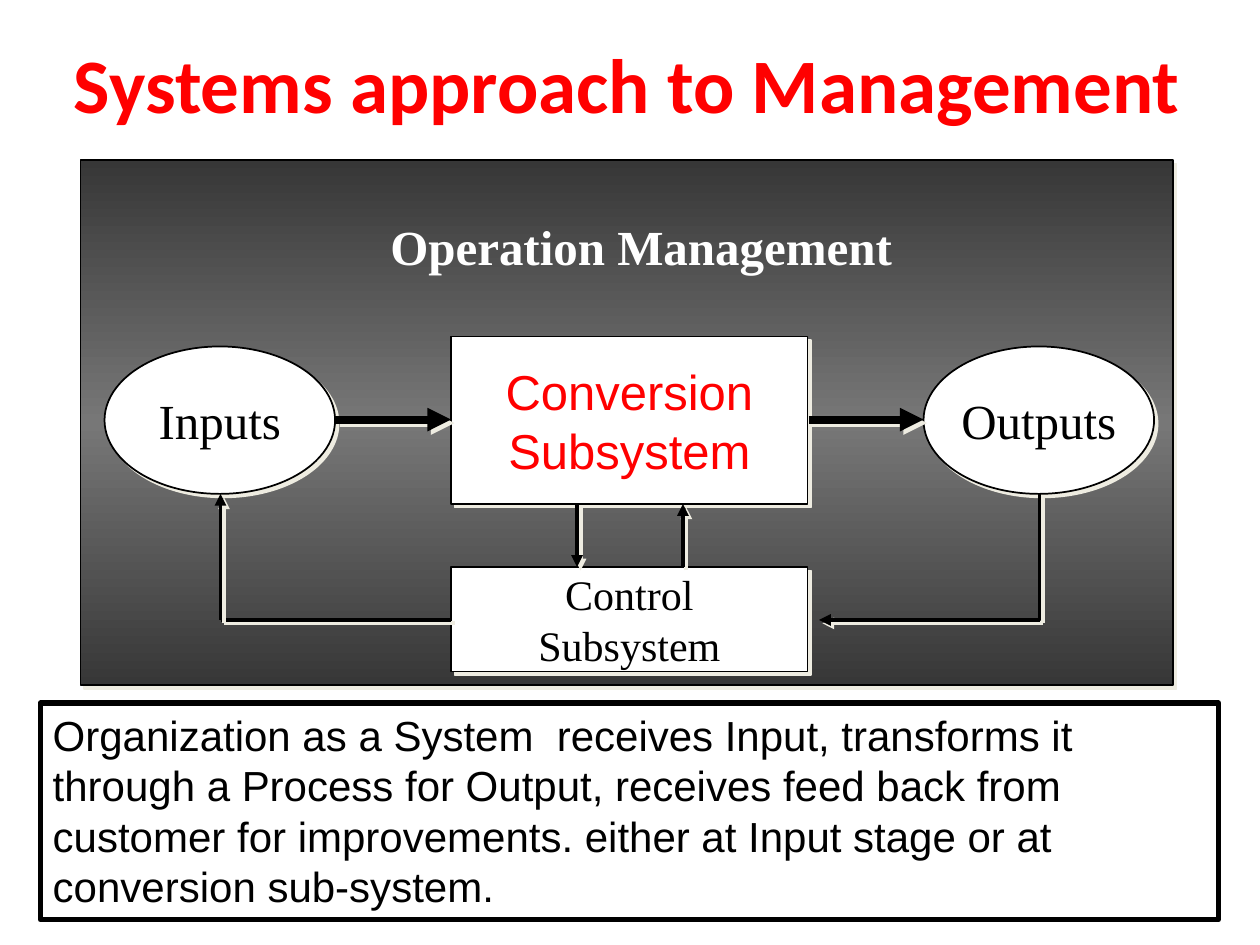
import copy

import pptx
import pptx.dml.color
import pptx.enum.shapes
import pptx.enum.text
import pptx.oxml
import pptx.oxml.ns
import pptx.util
from pptx.util import Inches

COLORS = {
    "black": "000000",
    "white": "FFFFFF",
    "red": "FF0000",
    "shadow": "EEECE1",
    "panel edge": "373737",
    "panel middle": "777777",
}
RGB = {name: pptx.dml.color.RGBColor.from_string(code) for name, code in COLORS.items()}
SHAPE = pptx.enum.shapes.MSO_SHAPE
ALIGN = pptx.enum.text.PP_ALIGN
ANCHOR = pptx.enum.text.MSO_ANCHOR
FIT = pptx.enum.text.MSO_AUTO_SIZE.SHAPE_TO_FIT_TEXT
NS = pptx.oxml.ns.nsdecls("a")


def write_lines(frame, lines, font, size, color, align, bold=False):
    for index, text in enumerate(lines):
        para = frame.paragraphs[0] if index == 0 else frame.add_paragraph()
        para.alignment = align
        span = para.add_run()
        span.text = text
        span.font.name = font
        span.font.size = pptx.util.Pt(size)
        span.font.bold = bold
        span.font.color.rgb = RGB[color]


def outline_with_shadow(item, width):
    """Give a shape or connector its black line and the offset shadow."""
    item.line.color.rgb = RGB["black"]
    item.line.width = pptx.util.Pt(width)
    item._element.spPr.append(pptx.oxml.parse_xml(
        f'<a:effectLst {NS}><a:outerShdw dist="35560" dir="2700000" algn="ctr" rotWithShape="0">'
        f'<a:srgbClr val="{COLORS["shadow"]}"/></a:outerShdw></a:effectLst>'))


deck = pptx.Presentation()
deck.slide_width, deck.slide_height = Inches(10), Inches(7.5)
page = deck.slides.add_slide(deck.slide_layouts[5])

title = page.shapes.title
title.left, title.top, title.width, title.height = Inches(0.48), Inches(0.03), Inches(9), Inches(1.25)
title.text_frame.vertical_anchor = ANCHOR.MIDDLE
write_lines(title.text_frame, ["Systems approach to Management"], "Calibri", 44, "red", ALIGN.CENTER, True)

# Shaded panel, dark at top and bottom
panel = page.shapes.add_shape(SHAPE.RECTANGLE, Inches(0.64), Inches(1.27), Inches(8.67), Inches(4.17))
panel.fill.gradient()
panel.fill.gradient_angle = 90
stop_list = panel._element.spPr.find(".//" + pptx.oxml.ns.qn("a:gsLst"))
stop_list.append(copy.deepcopy(stop_list[0]))
for stop, position, color in zip(panel.fill.gradient_stops, (0, 0.5, 1),
                                 ("panel edge", "panel middle", "panel edge")):
    stop.position = position
    stop.color.rgb = RGB[color]
outline_with_shadow(panel, 1)

# Subsystems: preset, left, top, width, height, lines, font, size, color
nodes = [
    (SHAPE.OVAL, 0.83, 2.75, 1.83, 1.17, ["Inputs"], "Times New Roman", 28, "black"),
    (SHAPE.OVAL, 7.33, 2.75, 1.83, 1.17, ["Outputs"], "Times New Roman", 28, "black"),
    (SHAPE.RECTANGLE, 3.58, 2.67, 2.83, 1.33, ["Conversion", "Subsystem"], "Arial", 28, "red"),
    (SHAPE.RECTANGLE, 3.58, 4.5, 2.83, 0.83, ["Control", "Subsystem"], "Times New Roman", 24, "black"),
]
for preset, left, top, width, height, lines, font, size, color in nodes:
    node = page.shapes.add_shape(preset, Inches(left), Inches(top), Inches(width), Inches(height))
    node.fill.solid()
    node.fill.fore_color.rgb = RGB["white"]
    outline_with_shadow(node, 1)
    node.text_frame.word_wrap = False
    node.text_frame.vertical_anchor = ANCHOR.MIDDLE
    write_lines(node.text_frame, lines, font, size, color, ALIGN.CENTER)

# Flows: start, end, line width, arrowhead at the end
flows = [
    ((2.67, 3.33), (3.58, 3.33), 4.5, True),
    ((6.42, 3.33), (7.33, 3.33), 4.5, True),
    ((8.25, 3.92), (8.25, 4.92), 2.25, False),
    ((8.25, 4.92), (6.5, 4.92), 2.25, True),
    ((3.58, 4.92), (1.75, 4.92), 2.25, False),
    ((1.75, 4.92), (1.75, 3.92), 2.25, True),
    ((5.42, 4.5), (5.42, 4), 2.25, True),
    ((4.58, 4), (4.58, 4.5), 2.25, True),
]
for start, end, width, has_arrow in flows:
    flow = page.shapes.add_connector(pptx.enum.shapes.MSO_CONNECTOR.STRAIGHT,
                                     *map(Inches, start + end))
    outline_with_shadow(flow, width)
    if has_arrow:
        flow.line._get_or_add_ln().append(pptx.oxml.parse_xml(f'<a:tailEnd {NS} type="triangle"/>'))

heading = page.shapes.add_textbox(Inches(3), Inches(1.67), Inches(4.33), Inches(0.57))
heading.text_frame.word_wrap = True
heading.text_frame.auto_size = FIT
write_lines(heading.text_frame, ["Operation Management"], "Times New Roman", 28, "white", ALIGN.LEFT, True)

caption = page.shapes.add_textbox(Inches(0.32), Inches(5.58), Inches(9.35), Inches(1.72))
caption.line.color.rgb = RGB["black"]
caption.line.width = pptx.util.Pt(3)
caption.text_frame.word_wrap = True
caption.text_frame.auto_size = FIT
write_lines(caption.text_frame, [
    "Organization as a System  receives Input, transforms it through a Process for Output, "
    "receives feed back from customer for improvements. either at Input stage or at "
    "conversion sub-system."], "Arial", 24, "black", ALIGN.LEFT)

deck.save("out.pptx")
